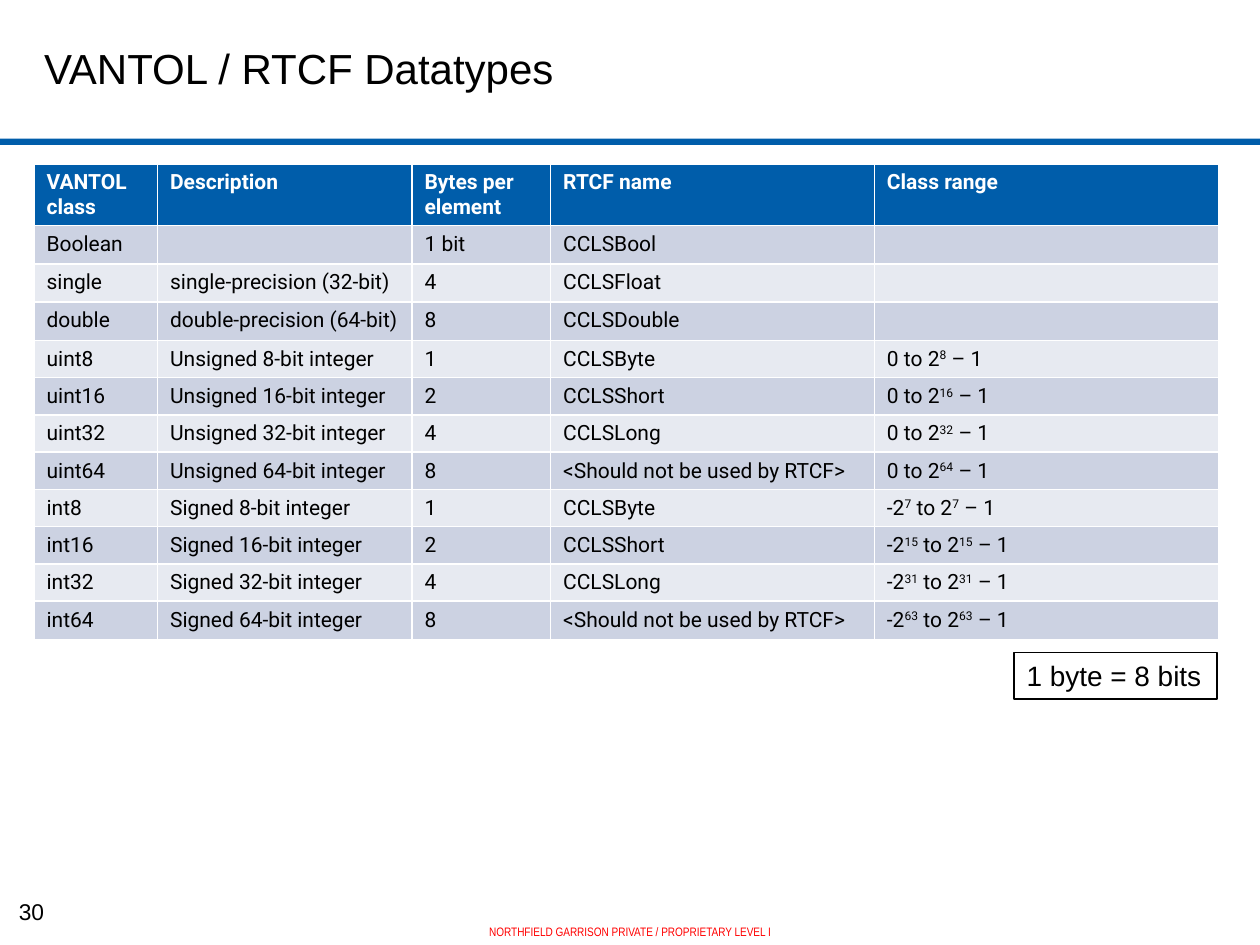
from lxml.etree import SubElement
from pptx import Presentation
from pptx.dml.color import RGBColor
from pptx.enum.shapes import MSO_SHAPE
from pptx.enum.text import MSO_ANCHOR, PP_ALIGN
from pptx.oxml.ns import qn
from pptx.util import Inches, Pt

COLORS = {
    "blue": "005DAA",
    "dark band": "CCD2E2",
    "light band": "E7EAF1",
    "white": "FFFFFF",
    "black": "000000",
    "red": "FF0000",
}


def color(name):
    return RGBColor.from_string(COLORS[name])


def add_run(paragraph, text, size, font="Arial", color_name="black", bold=False):
    run = paragraph.add_run()
    run.text = text
    run.font.size = Pt(size)
    run.font.name = font
    run.font.bold = bold
    run.font.color.rgb = color(color_name)
    return run


presentation = Presentation()
presentation.slide_width = Inches(10)
presentation.slide_height = Inches(7.5)
slide = presentation.slides.add_slide(presentation.slide_layouts[5])

# Title and the rule under it
title = slide.shapes.title
title.left, title.top = Inches(0.25), Inches(0.08)
title.width, title.height = Inches(7.33), Inches(0.92)
title.text_frame.vertical_anchor = MSO_ANCHOR.MIDDLE
title_paragraph = title.text_frame.paragraphs[0]
title_paragraph.alignment = PP_ALIGN.LEFT
add_run(title_paragraph, "VANTOL / RTCF Datatypes", 24)

rule = slide.shapes.add_shape(
    MSO_SHAPE.RECTANGLE, Inches(0), Inches(1.1), Inches(10), Inches(0.05))
rule.shadow.inherit = False
rule.fill.solid()
rule.fill.fore_color.rgb = color("blue")
rule.line.fill.background()

# Table contents; carets enclose superscripts
rows = [
    ["VANTOL class", "Description", "Bytes per element", "RTCF name", "Class range"],
    ["Boolean", "", "1 bit", "CCLSBool", ""],
    ["single", "single-precision (32-bit)", "4", "CCLSFloat", ""],
    ["double", "double-precision (64-bit)", "8", "CCLSDouble", ""],
]
integer_names = {
    8: "CCLSByte",
    16: "CCLSShort",
    32: "CCLSLong",
    64: "<Should not be used by RTCF>",
}
for prefix, sign in (("uint", "Unsigned"), ("int", "Signed")):
    for bits, rtcf_name in integer_names.items():
        if sign == "Unsigned":
            class_range = f"0 to 2^{bits}^ – 1"
        else:
            class_range = f"-2^{bits - 1}^ to 2^{bits - 1}^ – 1"
        rows.append([f"{prefix}{bits}", f"{sign} {bits}-bit integer",
                     str(bits // 8), rtcf_name, class_range])

# Datatype table
column_widths = [0.98, 2.02, 1.1, 2.57, 2.73]
row_heights = [0.49] + [0.29] * (len(rows) - 2) + [0.31]
table = slide.shapes.add_table(
    len(rows), len(column_widths), Inches(0.27), Inches(1.3),
    Inches(sum(column_widths)), Inches(sum(row_heights))).table
for column, width in zip(table.columns, column_widths):
    column.width = Inches(width)
for row_index, (row, height) in enumerate(zip(rows, row_heights)):
    table.rows[row_index].height = Inches(height)
    is_header = row_index == 0
    band = "blue" if is_header else "dark band" if row_index % 2 else "light band"
    for column_index, text in enumerate(row):
        cell = table.cell(row_index, column_index)
        cell.fill.solid()
        cell.fill.fore_color.rgb = color(band)
        paragraph = cell.text_frame.paragraphs[0]
        if not text:
            # Keep empty cells as low as the filled ones
            SubElement(paragraph._p, qn("a:endParaRPr"), sz="1200")
            continue
        for part_index, part in enumerate(text.split("^")):
            run = add_run(paragraph, part, 12, "Roboto",
                          "white" if is_header else "black", is_header)
            if part_index % 2:
                run.font._element.set("baseline", "30000")

# Note, slide number and footer
labels = [
    ("1 byte = 8 bits", 8.05, 5.18, 1.61, 0.37, 16, "Arial", "black",
     PP_ALIGN.LEFT, MSO_ANCHOR.TOP, False),
    ("30", 0.03, 7.08, 0.44, 0.33, 13, "Arial", "black",
     PP_ALIGN.CENTER, MSO_ANCHOR.TOP, False),
    ("NORTHFIELD GARRISON PRIVATE / PROPRIETARY LEVEL I", 2.78, 7.28, 4.44, 0.22,
     7, "Arial Narrow", "red", PP_ALIGN.CENTER, MSO_ANCHOR.BOTTOM, True),
]
for text, left, top, width, height, size, font, color_name, align, anchor, wrap in labels:
    label = slide.shapes.add_textbox(
        Inches(left), Inches(top), Inches(width), Inches(height))
    label.text_frame.word_wrap = wrap
    label.text_frame.vertical_anchor = anchor
    paragraph = label.text_frame.paragraphs[0]
    paragraph.alignment = align
    add_run(paragraph, text, size, font, color_name)
    if text == "1 byte = 8 bits":
        label.line.color.rgb = color("black")
        label.line.width = Pt(1)

presentation.save("out.pptx")
